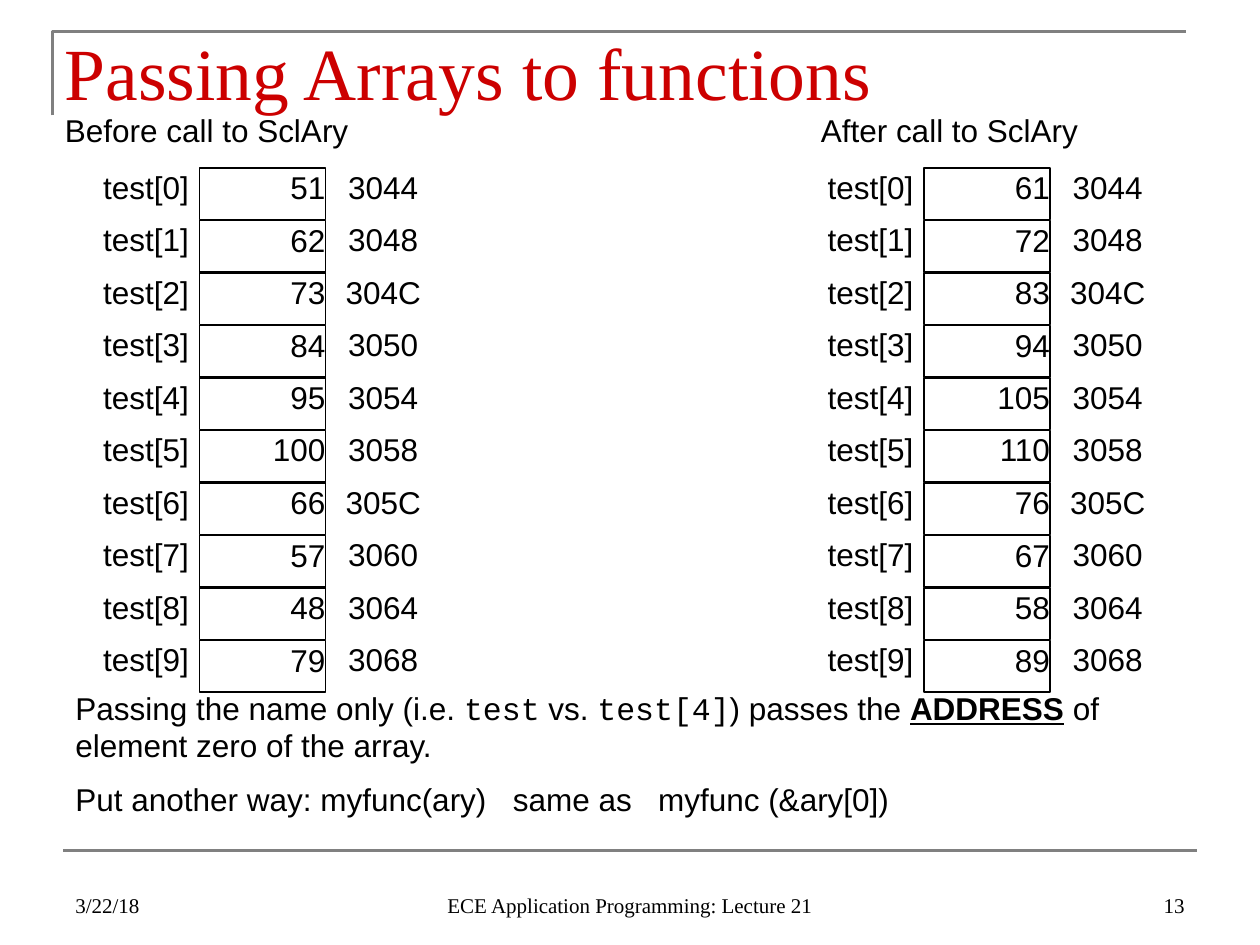
from lxml import etree
from pptx import Presentation
from pptx.dml.color import RGBColor
from pptx.enum.shapes import MSO_CONNECTOR, MSO_SHAPE
from pptx.enum.text import MSO_ANCHOR, PP_ALIGN
from pptx.oxml.ns import qn
from pptx.util import Pt

STRAIGHT = MSO_CONNECTOR.STRAIGHT
RECTANGLE = MSO_SHAPE.RECTANGLE
TOP, BOTTOM = MSO_ANCHOR.TOP, MSO_ANCHOR.BOTTOM
LEFT, CENTER, RIGHT = PP_ALIGN.LEFT, PP_ALIGN.CENTER, PP_ALIGN.RIGHT

SANS, SERIF, MONO = "Arial", "Times New Roman", "Courier New"
BLACK, RED, GRAY = "000000", "CC0000", "808080"

INSETS = (7.2, 3.6, 7.2, 3.6)
NO_INSETS = (0, 0, 0, 0)

BEFORE = [51, 62, 73, 84, 95, 100, 66, 57, 48, 79]
SCALE_STEP = 10
FIRST_ADDRESS, ELEMENT_BYTES = 0x3044, 4
ROW_TOP, ROW_STEP, CELL_HEIGHT = 96, 30, 29.5


def color(hex_value):
    return RGBColor.from_string(hex_value)


def style_line(line, hex_value, width):
    line.color.rgb = color(hex_value)
    line.width = Pt(width)


def set_frame(shape, insets, anchor=TOP):
    frame = shape.text_frame
    frame.word_wrap = True
    frame.vertical_anchor = anchor
    (frame.margin_left, frame.margin_top,
     frame.margin_right, frame.margin_bottom) = map(Pt, insets)
    return frame


def add_tab_stops(paragraph, stops):
    tab_list = etree.SubElement(paragraph._p.get_or_add_pPr(), qn("a:tabLst"))
    for stop in stops:
        etree.SubElement(tab_list, qn("a:tab"), pos=str(Pt(stop)), algn="l")


def add_run(paragraph, text, size=18, font=SANS, hex_value=BLACK, strong=False):
    """Add a run; a strong one is bold and underlined."""
    run = paragraph.add_run()
    run.text = text
    run.font.size = Pt(size)
    run.font.name = font
    run.font.color.rgb = color(hex_value)
    run.font.bold = strong
    run.font.underline = strong


def add_text(slide, box, text, align=LEFT, insets=INSETS, anchor=TOP, tabs=(), **style):
    label = slide.shapes.add_textbox(*map(Pt, box))
    paragraph = set_frame(label, insets, anchor).paragraphs[0]
    if tabs:
        add_tab_stops(paragraph, tabs)
    paragraph.alignment = align
    add_run(paragraph, text, **style)


def add_cell(slide, box, value):
    cell = slide.shapes.add_shape(RECTANGLE, *map(Pt, box))
    cell.shadow.inherit = False
    cell.fill.background()
    style_line(cell.line, BLACK, 0.75)
    paragraph = set_frame(cell, NO_INSETS).paragraphs[0]
    paragraph.alignment = RIGHT
    add_run(paragraph, str(value))


def add_array(slide, left, values):
    """Draw an array in memory: element names, values and hex addresses."""
    for index, value in enumerate(values):
        top = ROW_TOP + index * ROW_STEP
        address = f"{FIRST_ADDRESS + index * ELEMENT_BYTES:X}"
        add_text(slide, (left, top, 66, 28.8), f"test[{index}]", RIGHT, NO_INSETS)
        add_cell(slide, (left + 72, top, 72, CELL_HEIGHT), value)
        add_text(slide, (left + 144, top, 66, 28.8), address, CENTER, NO_INSETS)


def add_rules(slide):
    builder = slide.shapes.build_freeform(Pt(30), Pt(66))
    builder.add_line_segments([(Pt(30), Pt(18)), (Pt(678), Pt(18))], close=False)
    title_bracket = builder.convert_to_shape()
    title_bracket.shadow.inherit = False
    title_bracket.fill.background()
    style_line(title_bracket.line, GRAY, 1.5)

    footer_rule = slide.shapes.add_connector(STRAIGHT, Pt(36), Pt(486), Pt(684), Pt(486))
    style_line(footer_rule.line, GRAY, 1.5)
    etree.SubElement(footer_rule._element.spPr, qn("a:effectLst"))


def add_explanation(slide):
    explanation = slide.shapes.add_textbox(Pt(36), Pt(390), Pt(648), Pt(83.5))
    frame = set_frame(explanation, INSETS)
    rule = frame.paragraphs[0]
    add_run(rule, "Passing the name only (i.e. ")
    add_run(rule, "test", font=MONO)
    add_run(rule, " vs. ")
    add_run(rule, "test[4]", font=MONO)
    add_run(rule, ") passes the ")
    add_run(rule, "ADDRESS", strong=True)
    add_run(rule, " of element zero of the array.")

    restatement = frame.add_paragraph()
    add_tab_stops(restatement, (250, 333))
    restatement.space_before = Pt(9)
    add_run(restatement, "Put another way: myfunc(ary)\tsame as\tmyfunc (&ary[0])")


def add_footer(slide):
    for left, width, text, align in (
        (36, 168, "3/22/18", LEFT),
        (246, 228, "ECE Application Programming: Lecture 21", CENTER),
        (516, 168, "13", RIGHT),
    ):
        add_text(slide, (left, 492, width, 36), text, align, anchor=BOTTOM,
                 size=12, font=SERIF)


def main():
    presentation = Presentation()
    presentation.slide_width, presentation.slide_height = Pt(720), Pt(540)
    slide = presentation.slides.add_slide(presentation.slide_layouts[6])

    add_rules(slide)
    add_text(slide, (30, 12, 696, 42), "Passing Arrays to functions",
             size=42, font=SERIF, hex_value=RED)
    add_array(slide, 42, BEFORE)
    add_array(slide, 456, [value + SCALE_STEP for value in BEFORE])
    add_text(slide, (30, 60, 648, 36), "Before call to SclAry\tAfter call to SclAry",
             tabs=(432,))
    add_explanation(slide)
    add_footer(slide)

    presentation.save("out.pptx")


if __name__ == "__main__":
    main()
